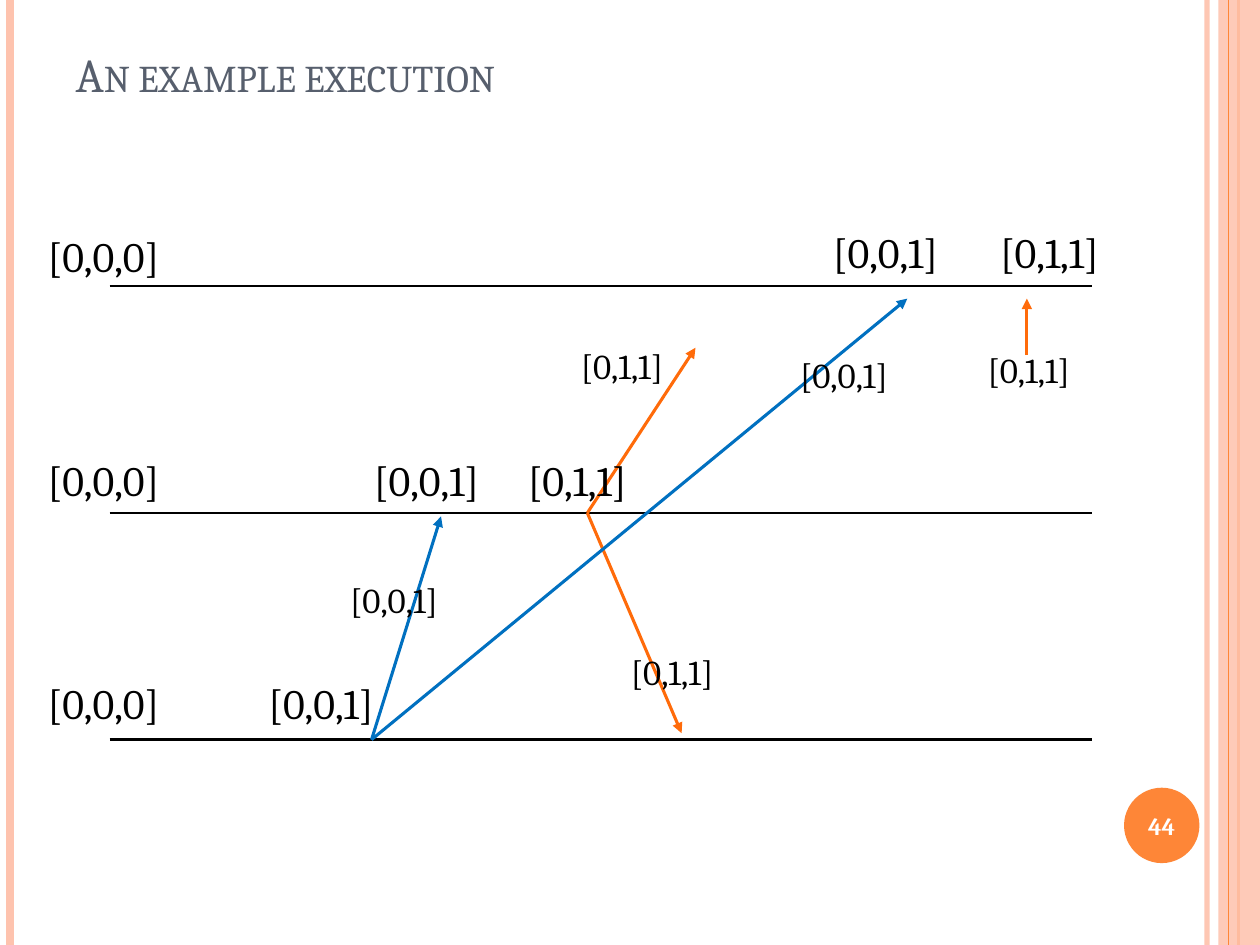
from lxml import etree
from pptx import Presentation
from pptx.dml.color import RGBColor
from pptx.enum.shapes import MSO_CONNECTOR, MSO_SHAPE
from pptx.enum.text import MSO_ANCHOR, MSO_AUTO_SIZE, PP_ALIGN
from pptx.oxml.ns import qn
from pptx.util import Cm, Pt

STRAIGHT = MSO_CONNECTOR.STRAIGHT
RECTANGLE, OVAL = MSO_SHAPE.RECTANGLE, MSO_SHAPE.OVAL
MIDDLE, BOTTOM = MSO_ANCHOR.MIDDLE, MSO_ANCHOR.BOTTOM
LEFT, CENTER = PP_ALIGN.LEFT, PP_ALIGN.CENTER
GROW, FIXED = MSO_AUTO_SIZE.SHAPE_TO_FIT_TEXT, MSO_AUTO_SIZE.NONE

COLORS = {
    "black": "000000", "white": "FFFFFF", "title": "575F6D",
    "blue": "0070C0", "orange": "FF6B0A", "accent": "FE8637", "peach": "FEC3AE",
}
FONT = "Cambria"
WIDTH, HEIGHT = 25.4, 19.05

TITLE = "An example execution"
PAGE = "44"

TIMELINE_START, TIMELINE_END = 2.21, 22.02
FIRST_TIMELINE, TIMELINE_GAP = 5.77, 4.57
TIMELINES = [FIRST_TIMELINE + TIMELINE_GAP * row for row in range(3)]

SEND_001 = (7.49, TIMELINES[2])
SEND_011 = (11.84, TIMELINES[1])
MESSAGES = [
    (SEND_001, (8.89, 10.41), "blue"),
    (SEND_011, (13.74, 14.78), "orange"),
    (SEND_011, (14.02, 7.01), "orange"),
    (SEND_001, (18.29, 6.02), "blue"),
    ((20.7, 7.16), (20.7, 6.02), "orange"),
]

LABEL_WIDTH = 4.17
LABEL_HEIGHTS = {24: 1.27, 20: 1.12}
LABELS = {
    24: [
        ("[0,0,0]", 0.71, 4.52), ("[0,0,1]", 16.54, 4.45), ("[0,1,1]", 19.91, 4.45),
        ("[0,0,0]", 0.71, 9.03), ("[0,0,1]", 7.29, 9.03), ("[0,1,1]", 10.39, 9.03),
        ("[0,0,0]", 0.71, 13.54), ("[0,0,1]", 5.16, 13.54),
    ],
    20: [
        ("[0,0,1]", 6.81, 11.53), ("[0,0,1]", 15.88, 7.01), ("[0,1,1]", 11.46, 6.83),
        ("[0,1,1]", 12.47, 12.98), ("[0,1,1]", 19.66, 6.91),
    ],
}

BARS_BEHIND = [(24.33, "peach", 3, 93), (0.2, "peach", 4.5, 100), (24.97, "accent", 1.5, 100)]
BAR_FRONT = (24.77, "accent", 0.75, 100)


def rgb(name):
    return RGBColor.from_string(COLORS[name])


def apply(target, formats):
    for key, value in formats.items():
        setattr(target, key, value)


def set_alpha(fill_parent, percent):
    color = next(fill_parent.iter(qn("a:srgbClr")))
    etree.SubElement(color, qn("a:alpha"), val=str(percent * 1000))


def add_line(slide, start, end, color, width, alpha=100, arrow=False):
    line = slide.shapes.add_connector(STRAIGHT, *(Cm(v) for v in (*start, *end)))
    line.line.width = Pt(width)
    line.line.color.rgb = rgb(color)
    properties = line.line._get_or_add_ln()
    if alpha < 100:
        set_alpha(properties, alpha)
    if arrow:
        etree.SubElement(properties, qn("a:tailEnd"), type="triangle")
    etree.SubElement(line._element.spPr, qn("a:effectLst"))


def add_bar(slide, x, color, width, alpha):
    add_line(slide, (x, 0), (x, HEIGHT), color, width, alpha)


def add_filled(slide, kind, box, color):
    shape = slide.shapes.add_shape(kind, *(Cm(v) for v in box))
    shape.shadow.inherit = False
    shape.fill.solid()
    shape.fill.fore_color.rgb = rgb(color)
    shape.line.fill.background()
    return shape


def write(shape, words, size, color, frame_formats, align=LEFT, bold=False):
    frame = shape.text_frame
    apply(frame, {"word_wrap": True, **frame_formats})
    paragraph = frame.paragraphs[0]
    paragraph.alignment = align
    run = paragraph.add_run()
    run.text = words
    apply(run.font, {"name": FONT, "size": Pt(size), "bold": bold})
    run.font.color.rgb = rgb(color)
    return run


def main():
    deck = Presentation()
    apply(deck, {"slide_width": Cm(WIDTH), "slide_height": Cm(HEIGHT)})
    slide = deck.slides.add_slide(deck.slide_layouts[5])

    for bar in BARS_BEHIND:
        add_bar(slide, *bar)
    band = add_filled(slide, RECTANGLE, (24.56, 0, 0.84, HEIGHT), "peach")
    set_alpha(band._element.spPr, 87)
    add_bar(slide, *BAR_FRONT)

    badge = add_filled(slide, OVAL, (22.66, 15.88, 1.52, 1.52), "accent")
    margins = dict.fromkeys(("margin_left", "margin_right", "margin_top", "margin_bottom"), 0)
    write(badge, PAGE, 14, "white", {"vertical_anchor": MIDDLE, **margins}, CENTER, True)

    title = slide.shapes.title
    apply(title, {"left": Cm(1.27), "top": Cm(0.76), "width": Cm(20.75), "height": Cm(1.42)})
    heading = write(title, TITLE, 27, "title", {"vertical_anchor": BOTTOM, "auto_size": FIXED})
    heading.font._element.set("cap", "small")

    for y in TIMELINES:
        add_line(slide, (TIMELINE_START, y), (TIMELINE_END, y), "black", 1.5)
    for start, end, color in MESSAGES:
        add_line(slide, start, end, color, 1.75, arrow=True)

    for size, labels in LABELS.items():
        for words, x, y in labels:
            box = (x, y, LABEL_WIDTH, LABEL_HEIGHTS[size])
            label = slide.shapes.add_textbox(*(Cm(v) for v in box))
            write(label, words, size, "black", {"auto_size": GROW})

    deck.save("out.pptx")


if __name__ == "__main__":
    main()
